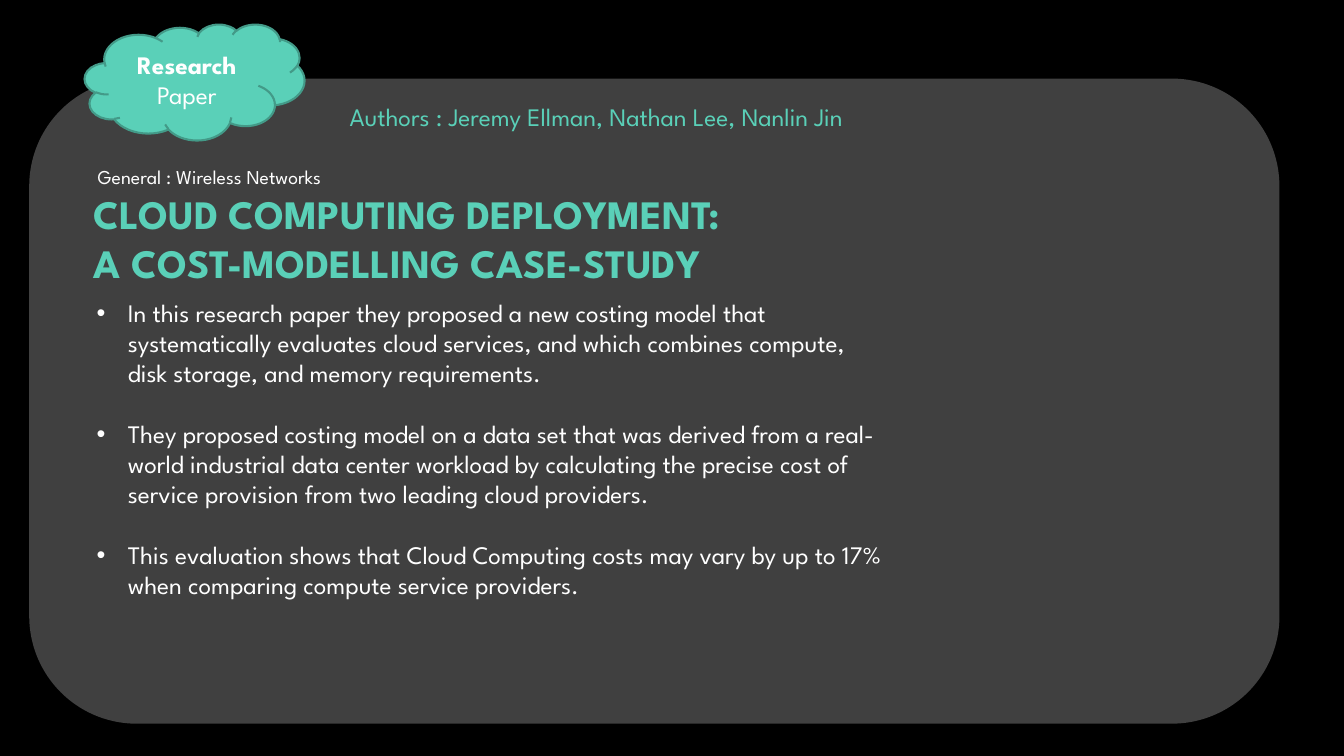
import dataclasses
import typing

import pptx
import pptx.dml.color
import pptx.enum.shapes
import pptx.enum.text
import pptx.oxml.ns
import pptx.util
from lxml import etree

Inches = pptx.util.Inches
Pt = pptx.util.Pt
ALIGN = pptx.enum.text.PP_ALIGN
ANCHOR = pptx.enum.text.MSO_ANCHOR
SHAPE = pptx.enum.shapes.MSO_SHAPE


@dataclasses.dataclass(frozen=True)
class Theme:
    font: str = "League Spartan"
    background: str = "000000"
    panel: str = "404040"
    accent: str = "5AD0B8"
    outline: str = "439A88"
    white: str = "FFFFFF"
    title: float = 28.8
    body: float = 18
    caption: float = 14
    bullet_gap: float = 21.6


THEME = Theme()


class Box(typing.NamedTuple):
    left: float
    top: float
    width: float
    height: float


@dataclasses.dataclass(frozen=True)
class TextItem:
    box: Box
    lines: tuple[str, ...]
    size: float
    color: str
    bold: bool = False
    bullet: bool = False
    gap: float = 0


TEXTS = (
    # Title
    TextItem(Box(0.83, 1.83, 8.32, 1.06),
             ("CLOUD COMPUTING DEPLOYMENT:", "A COST-MODELLING CASE-STUDY"),
             THEME.title, THEME.accent, bold=True),
    # Findings
    TextItem(Box(0.86, 2.9, 8.07, 3.43), (
        "In this research paper they proposed a new costing model that "
        "systematically evaluates cloud services, and which combines compute, "
        "disk storage, and memory requirements.",
        "They proposed costing model on a data set that was derived from a "
        "real-world industrial data center workload by calculating the precise "
        "cost of service provision from two leading cloud providers.",
        "This evaluation shows that Cloud Computing costs may vary by up to "
        "17% when comparing compute service providers.",
    ), THEME.body, THEME.white, bullet=True, gap=THEME.bullet_gap),
    # Authors
    TextItem(Box(3.37, 0.96, 6.14, 0.4),
             ("Authors : Jeremy Ellman, Nathan Lee, Nanlin Jin",),
             THEME.body, THEME.accent),
    # Topic
    TextItem(Box(0.87, 1.59, 5.82, 0.34), ("General : Wireless Networks",),
             THEME.caption, THEME.white),
)


def rgb(color: str) -> pptx.dml.color.RGBColor:
    return pptx.dml.color.RGBColor.from_string(color)


def place(box: Box) -> list[int]:
    return [Inches(v) for v in box]


def add_bullet(p: typing.Any) -> None:
    pPr = p._p.get_or_add_pPr()
    pPr.set("marL", str(Inches(0.31)))
    pPr.set("indent", str(Inches(-0.31)))
    for tag, key, value in (("a:buFont", "typeface", "Arial"),
                            ("a:buChar", "char", "•")):
        etree.SubElement(pPr, pptx.oxml.ns.qn(tag)).set(key, value)


def write(tf: typing.Any, text: str, *, size: float, color: str,
          first: bool = True, bold: bool = False, bullet: bool = False,
          gap: float = 0, align: ALIGN = ALIGN.LEFT) -> None:
    """Write one formatted paragraph into a text frame."""
    p = tf.paragraphs[0] if first else tf.add_paragraph()
    p.alignment = align
    if gap and not first:
        p.space_before = Pt(gap)
    if bullet:
        add_bullet(p)
    r = p.add_run()
    r.text = text
    r.font.name = THEME.font
    r.font.size = Pt(size)
    r.font.bold = bold
    r.font.color.rgb = rgb(color)


def add_shape(shapes: typing.Any, kind: SHAPE, box: Box, fill: str,
              line: str | None = None) -> typing.Any:
    sp = shapes.add_shape(kind, *place(box))
    sp.shadow.inherit = False
    sp.fill.solid()
    sp.fill.fore_color.rgb = rgb(fill)
    if line:
        sp.line.color.rgb = rgb(line)
        sp.line.width = Pt(1.5)
    else:
        sp.line.fill.background()
    return sp


def add_text(shapes: typing.Any, item: TextItem) -> None:
    tf = shapes.add_textbox(*place(item.box)).text_frame
    tf.word_wrap = True
    for i, line in enumerate(item.lines):
        write(tf, line, size=item.size, color=item.color, first=i == 0,
              bold=item.bold, bullet=item.bullet, gap=item.gap)


def main() -> None:
    prs = pptx.Presentation()
    prs.slide_width, prs.slide_height = Inches(13.33), Inches(7.5)
    slide = prs.slides.add_slide(prs.slide_layouts[6])
    slide.background.fill.solid()
    slide.background.fill.fore_color.rgb = rgb(THEME.background)

    # Panel with its cloud badge
    group = slide.shapes.add_group_shape().shapes
    add_shape(group, SHAPE.ROUNDED_RECTANGLE, Box(0.29, 0.78, 12.4, 6.4), THEME.panel)
    cloud = add_shape(group, SHAPE.CLOUD, Box(0.84, 0.24, 2.18, 1.15),
                      THEME.accent, THEME.outline)
    tf = cloud.text_frame
    tf.word_wrap = True
    tf.vertical_anchor = ANCHOR.MIDDLE
    for i, word in enumerate(("Research", "Paper")):
        write(tf, word, size=THEME.body, color=THEME.white, first=i == 0,
              bold=i == 0, align=ALIGN.CENTER)

    # Text
    for item in TEXTS:
        add_text(slide.shapes, item)

    prs.save("out.pptx")


if __name__ == "__main__":
    main()
